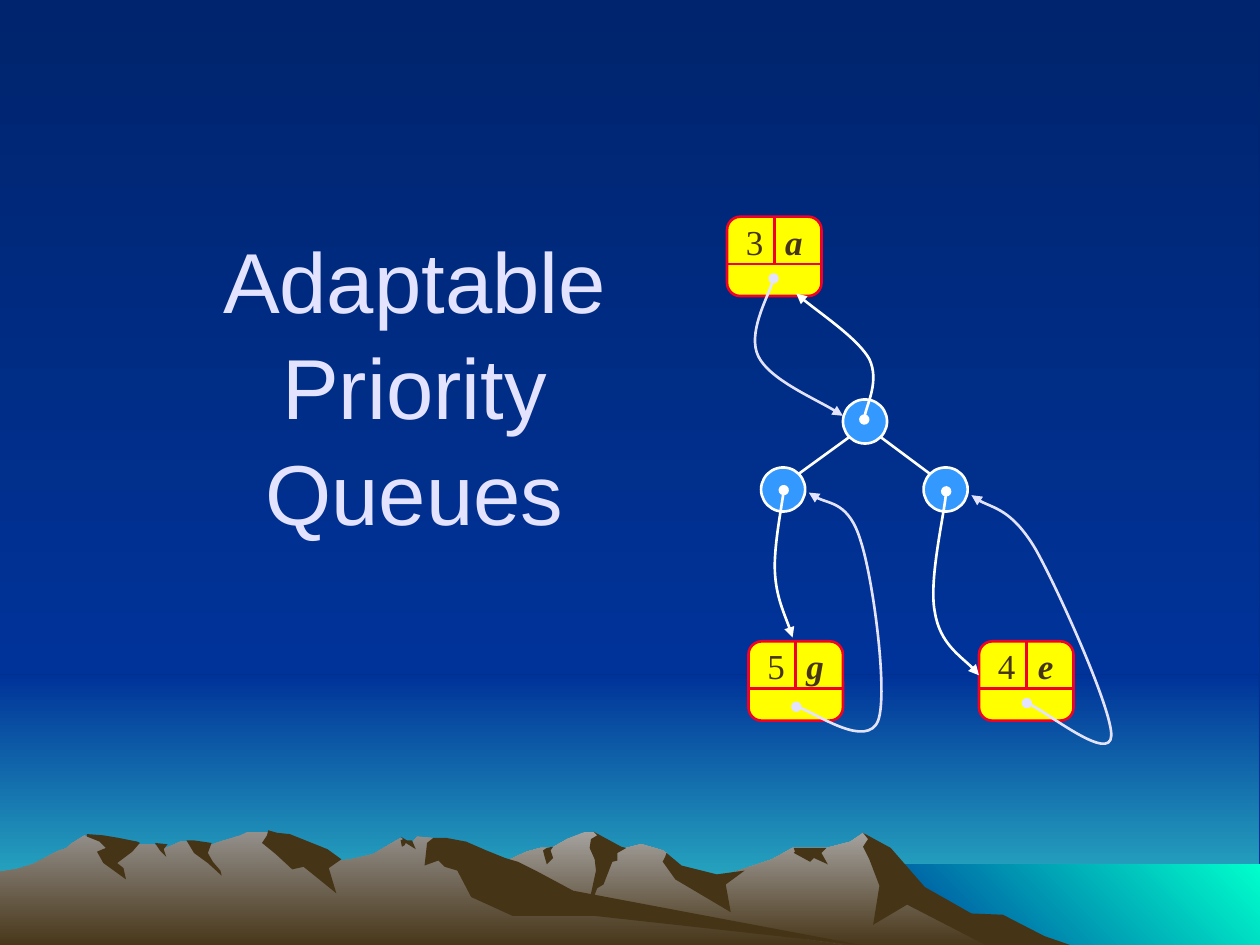
import math

from lxml import etree
from pptx import Presentation
from pptx.dml.color import RGBColor
from pptx.enum import shapes, text
from pptx.oxml.ns import qn
from pptx.util import Inches, Pt

COLORS = {"night": "00246D", "sky": "003399", "horizon": "33CCCC", "sea": "00FFCC",
          "earth": "463416", "mist": "A5A29F", "haze": "938F8B", "lilac": "E3E3FF",
          "white": "FFFFFF", "node": "3399FF", "card": "FFFF00", "border": "EF0129"}
TITLE = "Adaptable Priority Queues"

# left, top, width, height, gradient colours, counter-clockwise angle
BANDS = [(-0.01, 5.36, 10, 2.17, ("sky", "horizon"), 270),
         (-0.01, 0.02, 10, 5.33, ("night", "sky"), 270),
         (6.83, 6.86, 3.17, 0.67, ("sky", "sea"), 45)]

# Outlines and curves are in hundredths of an inch.
FAR_RIDGE = [
    (802, 741), (778, 728), (764, 725), (723, 699), (701, 673), (685, 661), (675, 668),
    (656, 673), (629, 673), (613, 682), (566, 698), (536, 691), (529, 677), (526, 675),
    (509, 670), (497, 673), (485, 675), (474, 662), (471, 660), (465, 660), (450, 666),
    (438, 673), (429, 673), (418, 676), (405, 682), (394, 687), (355, 699), (327, 711),
    (277, 740), (258, 753), (821, 753)]
FAR_SHADOWS = [
    [(796, 726), (771, 725), (734, 704), (707, 673), (685, 661), (689, 666), (685, 672),
     (690, 682), (698, 703), (693, 734), (720, 718), (788, 753), (858, 753), (829, 743)],
    [(471, 660), (474, 663), (469, 666), (468, 673), (472, 682), (473, 691), (465, 728),
     (474, 705), (479, 702), (486, 684), (490, 683), (490, 677), (497, 673), (493, 672)],
    [(529, 677), (528, 680), (526, 684), (536, 698), (580, 724), (576, 702), (591, 691),
     (569, 694), (541, 687)],
    [(649, 673), (630, 673), (631, 676), (630, 677), (643, 684), (646, 681), (657, 686),
     (652, 677), (656, 673)],
    [(432, 679), (431, 675), (434, 673), (439, 672), (437, 675), (439, 681), (434, 686)]]
NEAR_RIDGE = [
    (690, 753), (667, 750), (432, 714), (354, 666), (331, 664), (327, 669), (323, 669),
    (318, 665), (296, 678), (279, 682), (271, 683), (259, 678), (235, 682), (223, 664),
    (212, 660), (197, 660), (191, 663), (178, 667), (160, 673), (148, 668), (143, 668),
    (132, 673), (127, 673), (122, 670), (111, 670), (94, 673), (67, 663), (56, 670),
    (53, 673), (45, 676), (26, 686), (13, 690), (0, 692), (0, 753)]
NEAR_SHADOWS = [
    [(212, 663), (208, 669), (219, 678), (232, 690), (241, 688), (267, 709), (261, 689),
     (271, 682), (260, 674), (245, 668), (230, 662), (220, 661), (213, 659)],
    [(370, 668), (354, 665), (344, 665), (339, 669), (337, 687), (348, 683), (353, 688),
     (363, 691), (374, 712), (407, 727), (472, 727), (690, 751), (683, 750), (455, 707),
     (427, 692), (411, 684), (401, 681), (386, 675)],
    [(318, 667), (320, 666), (318, 664), (323, 667), (327, 667), (330, 674), (322, 669),
     (321, 671), (319, 672)],
    [(154, 667), (168, 669), (165, 677), (169, 684), (175, 691), (176, 695), (165, 685),
     (154, 677), (148, 667)],
    [(133, 670), (130, 674), (132, 680), (127, 675), (123, 669)],
    [(109, 668), (111, 669), (105, 676), (93, 685), (98, 689), (100, 698), (82, 685),
     (77, 676), (84, 673), (79, 668), (69, 664), (69, 662), (82, 663), (94, 665)]]

NODE_SIZE = 0.35
ROOT, RIGHT, LEFT = NODES = [(6.865, 3.345), (7.505, 3.885), (6.215, 3.885)]  # centres
CARDS = [("3", "a", 5.77, 1.72), ("5", "g", 5.94, 5.09), ("4", "e", 7.77, 5.09)]
# Each curve is a start point, then three Bezier points per piece
POINTERS = [
    ("lilac", [(614, 221), (612, 231), (593, 265), (602, 283),
               (611, 301), (655, 320), (669, 330)]),
    ("lilac", [(632, 561), (643, 563), (688, 594), (697, 572), (705, 550),
               (693, 459), (683, 429), (674, 399), (650, 399), (642, 391)]),
    ("lilac", [(815, 558), (827, 562), (881, 605), (882, 584), (883, 564),
               (840, 468), (822, 436), (803, 404), (781, 402), (771, 393)]),
    ("white", [(686, 333), (686, 325), (698, 302), (690, 285),
               (681, 269), (644, 244), (632, 233)]),
    ("white", [(751, 390), (750, 406), (737, 462), (742, 486),
               (746, 511), (770, 526), (777, 536)]),
    ("white", [(622, 389), (621, 399), (614, 435), (615, 454),
               (616, 474), (626, 495), (629, 506)])]


def color(name):
    return RGBColor.from_string(COLORS[name])


def paint(fill, names, angle=270):
    """Fill with one colour name, or with a gradient between two."""
    if isinstance(names, str):
        fill.solid()
        fill.fore_color.rgb = color(names)
        return
    fill.gradient()
    fill.gradient_angle = angle
    for stop, name in zip(fill.gradient_stops, names):
        stop.color.rgb = color(name)


def stroke(shape, name):
    shape.line.color.rgb = color(name)
    shape.line.width = Pt(1.5)


def add_shape(page, kind, place, fill, border=None, angle=270):
    shape = page.shapes.add_shape(kind, *map(Inches, place))
    shape.shadow.inherit = False
    paint(shape.fill, fill, angle)
    if border:
        stroke(shape, border)
    else:
        shape.line.fill.background()
    return shape


def add_outline(page, points, close=True):
    builder = page.shapes.build_freeform(*points[0], scale=Inches(0.01))
    builder.add_line_segments(points[1:], close=close)
    shape = builder.convert_to_shape()
    shape.shadow.inherit = False
    return shape


def add_mountain(page, points, fill):
    shape = add_outline(page, points)
    paint(shape.fill, fill)
    shape.line.fill.background()


def add_pointer(page, name, points):
    """Draw a Bezier curve with a dot at its start and an arrowhead at its end."""
    shape = add_outline(page, points, close=False)
    shape.fill.background()
    stroke(shape, name)
    corners = list(shape._element.iter(qn("a:lnTo")))
    for first in range(0, len(corners), 3):
        piece = etree.SubElement(corners[0].getparent(), qn("a:cubicBezTo"))
        for corner in corners[first:first + 3]:
            piece.append(corner[0])
    for corner in corners:
        corner.getparent().remove(corner)
    line = shape.line._get_or_add_ln()
    for tag, kind in (("a:headEnd", "oval"), ("a:tailEnd", "triangle")):
        etree.SubElement(line, qn(tag)).set("type", kind)


def add_line(page, start, end, name):
    line = page.shapes.add_connector(shapes.MSO_CONNECTOR.STRAIGHT,
                                     *map(Inches, (*start, *end)))
    stroke(line, name)
    etree.SubElement(line._element.spPr, qn("a:effectLst"))


def add_text(page, words, place, wrap, spacing=None, **font):
    box = page.shapes.add_textbox(*map(Inches, place))
    box.text_frame.word_wrap = wrap
    box.text_frame.vertical_anchor = text.MSO_ANCHOR.MIDDLE
    para = box.text_frame.paragraphs[0]
    para.alignment = text.PP_ALIGN.CENTER
    para.line_spacing = spacing
    span = para.add_run()
    span.text = words
    span.font.color.rgb = color(font.pop("ink"))
    for key, value in font.items():
        setattr(span.font, key, value)


def add_card(page, key, value, left, top):
    width, height, half = 0.75, 0.63, 0.375
    card = add_shape(page, shapes.MSO_SHAPE.ROUNDED_RECTANGLE,
                     (left, top, width, height), "card", "border")
    card.adjustments[0] = 0.167
    add_line(page, (left, top + half), (left + width, top + half), "border")
    add_line(page, (left + half, top), (left + half, top + half), "border")
    for words, shift, strong in ((key, 0.05, False), (value, 0.36, True)):
        add_text(page, words, (left + shift, top - 0.02, 0.34, 0.43), False, ink="earth",
                 name="Times New Roman", size=Pt(20), bold=strong, italic=strong)


def main():
    deck = Presentation()
    deck.slide_width, deck.slide_height = Inches(10), Inches(7.5)
    page = deck.slides.add_slide(deck.slide_layouts[6])
    paint(page.background.fill, ("night", "sky"))
    for *place, fill, angle in BANDS:
        add_shape(page, shapes.MSO_SHAPE.RECTANGLE, place, fill, angle=angle)
    for ridge, top_color, shadows in ((FAR_RIDGE, "mist", FAR_SHADOWS),
                                      (NEAR_RIDGE, "haze", NEAR_SHADOWS)):
        add_mountain(page, ridge, (top_color, "earth"))
        for shadow in shadows:
            add_mountain(page, shadow, "earth")

    add_text(page, TITLE, (1, 2.23, 4.58, 1.63), True, spacing=1.04,
             ink="lilac", name="Arial", size=Pt(48.6))
    for x, y in NODES:
        add_shape(page, shapes.MSO_SHAPE.OVAL,
                  (x - NODE_SIZE / 2, y - NODE_SIZE / 2, NODE_SIZE, NODE_SIZE), "node", "white")
    reach = NODE_SIZE / 2 * math.sqrt(0.5)
    for (x, y), side in ((LEFT, 1), (RIGHT, -1)):
        add_line(page, (x + side * reach, y - reach),
                 (ROOT[0] - side * reach, ROOT[1] + reach), "white")
    for card in CARDS:
        add_card(page, *card)
    for name, points in POINTERS:
        add_pointer(page, name, points)
    deck.save("out.pptx")


if __name__ == "__main__":
    main()
